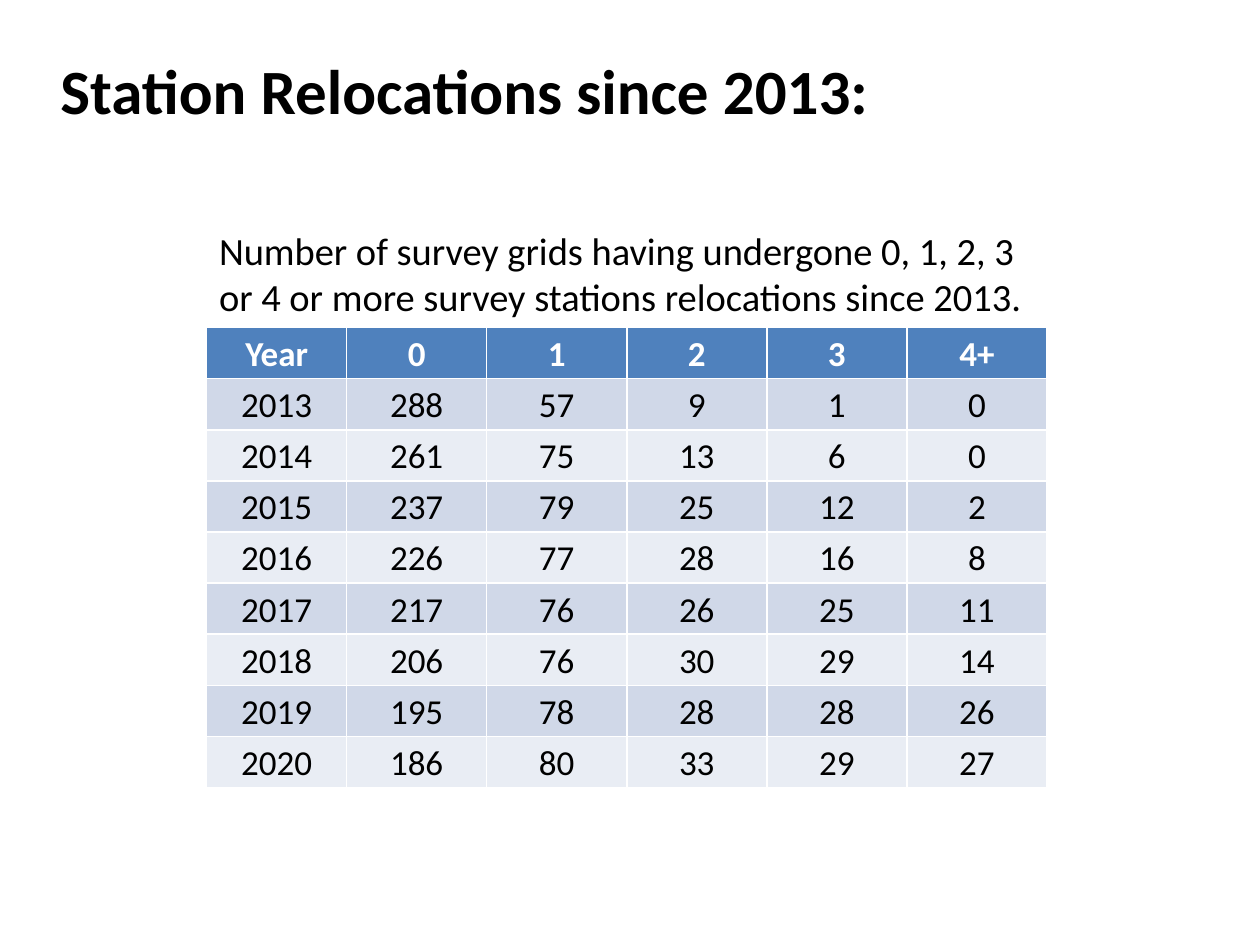
from pptx import Presentation
from pptx.dml.color import RGBColor
from pptx.enum import text
from pptx.util import Inches, Pt


def rgb(value):
    return RGBColor.from_string(value)


def write(tf, content, size=20, color="000000", bold=False, align=text.PP_ALIGN.LEFT, spacing=1.0):
    p = tf.paragraphs[0]
    p.alignment = align
    p.line_spacing = spacing
    r = p.add_run()
    r.text = content
    r.font.name = "Calibri"
    r.font.size = Pt(size)
    r.font.bold = bold
    r.font.color.rgb = rgb(color)


prs = Presentation()
prs.slide_width, prs.slide_height = Inches(10), Inches(7.5)
s = prs.slides.add_slide(prs.slide_layouts[5])

title = s.shapes.title
title.left, title.top = Inches(0.38), Inches(0.36)
title.width, title.height = Inches(6.71), Inches(0.71)
tf = title.text_frame
tf.word_wrap = False
tf.auto_size = text.MSO_AUTO_SIZE.NONE
tf.vertical_anchor = text.MSO_ANCHOR.TOP
write(tf, "Station Relocations since 2013:", size=36, bold=True)

rows = [
    ("Year", "0", "1", "2", "3", "4+"),
    (2013, 288, 57, 9, 1, 0),
    (2014, 261, 75, 13, 6, 0),
    (2015, 237, 79, 25, 12, 2),
    (2016, 226, 77, 28, 16, 8),
    (2017, 217, 76, 26, 25, 11),
    (2018, 206, 76, 30, 29, 14),
    (2019, 195, 78, 28, 28, 26),
    (2020, 186, 80, 33, 29, 27),
]
left, width = Inches(1.64), Inches(6.67)
table = s.shapes.add_table(len(rows), len(rows[0]), left, Inches(2.6), width, Inches(3.65)).table
for i, row in enumerate(rows):
    header = i == 0
    fill = "4F81BD" if header else ("E9EDF4", "D0D8E8")[i % 2]
    for j, value in enumerate(row):
        cell = table.cell(i, j)
        cell.fill.solid()
        cell.fill.fore_color.rgb = rgb(fill)
        cell.margin_left = cell.margin_right = cell.margin_top = cell.margin_bottom = 0
        cell.vertical_anchor = text.MSO_ANCHOR.MIDDLE
        write(cell.text_frame, str(value), color="FFFFFF" if header else "000000",
              bold=header, align=text.PP_ALIGN.CENTER, spacing=1.07)

caption = s.shapes.add_textbox(left, Inches(1.75), width, Inches(0.84))
tf = caption.text_frame
tf.word_wrap = True
tf.auto_size = text.MSO_AUTO_SIZE.SHAPE_TO_FIT_TEXT
write(tf, "Number of survey grids having undergone 0, 1, 2, 3 or 4 or more "
          "survey stations relocations since 2013.", size=22)

prs.save("out.pptx")
